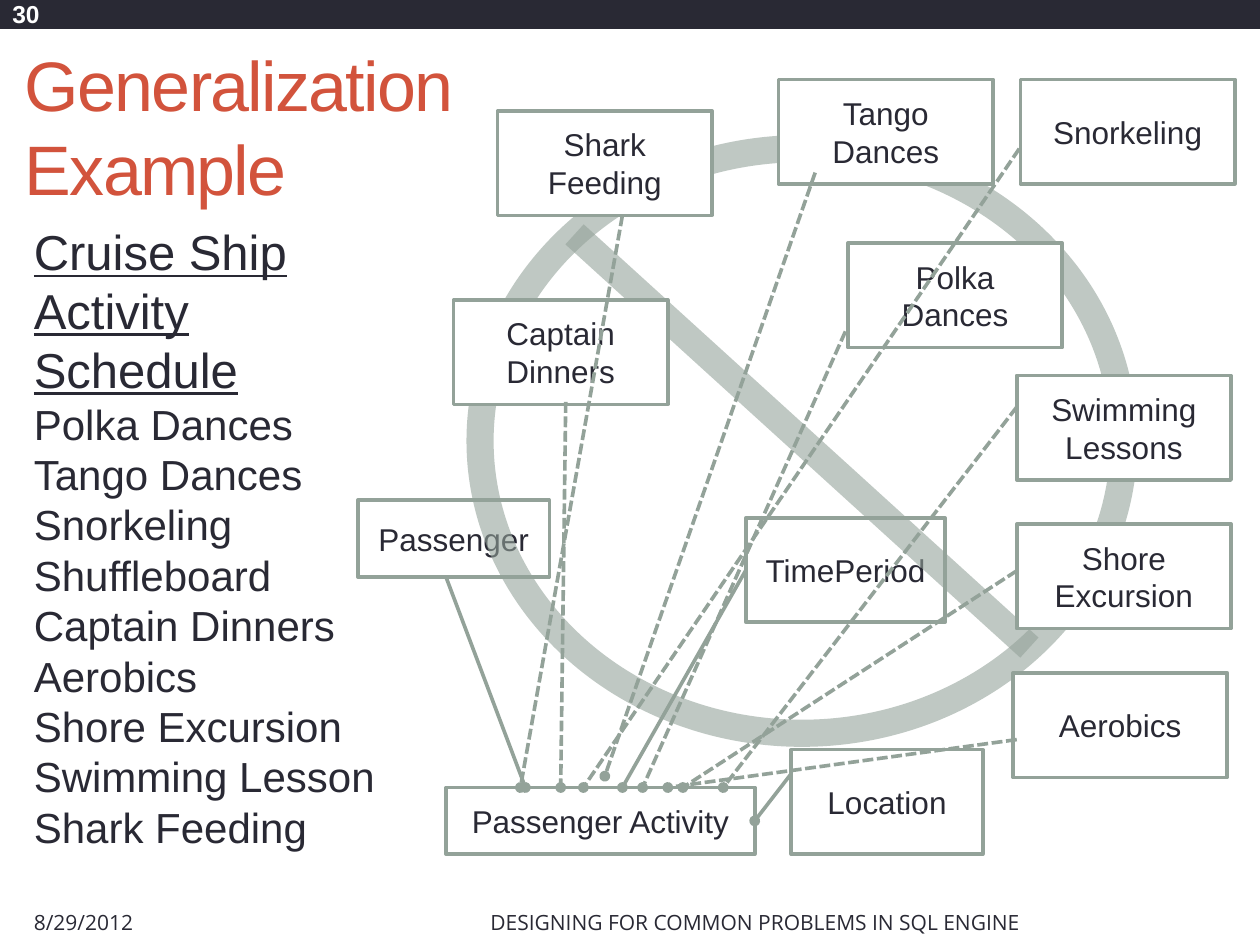
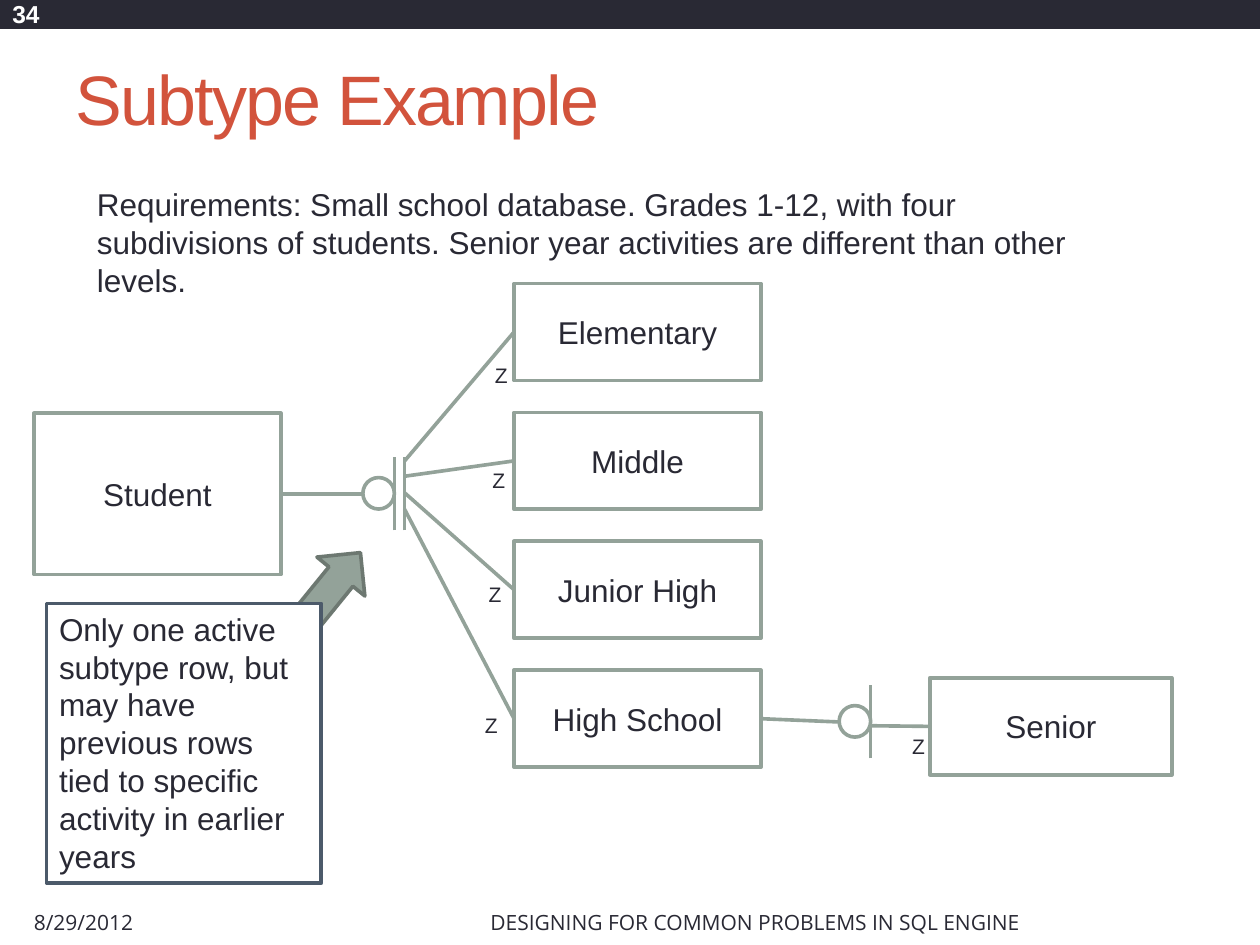
from lxml import etree
from pptx import Presentation
from pptx.dml.color import RGBColor
from pptx.enum.dml import MSO_LINE
from pptx.enum.shapes import MSO_CONNECTOR, MSO_SHAPE
from pptx.enum.text import MSO_ANCHOR, PP_ALIGN
from pptx.oxml.ns import qn
from pptx.util import Inches, Pt

RECTANGLE = MSO_SHAPE.RECTANGLE
ELLIPSE = MSO_SHAPE.OVAL
DOWN_ARROW = MSO_SHAPE.DOWN_ARROW
STRAIGHT = MSO_CONNECTOR.STRAIGHT
DASHED = MSO_LINE.SQUARE_DOT
TOP, MIDDLE = MSO_ANCHOR.TOP, MSO_ANCHOR.MIDDLE
LEFT, CENTER = PP_ALIGN.LEFT, PP_ALIGN.CENTER
LEFT_SIDE, RIGHT_SIDE = 1, 3

SLIDE_WIDTH, SLIDE_HEIGHT = Inches(10), Inches(7.5)
COLUMN, ROW = SLIDE_WIDTH / 100, SLIDE_HEIGHT / 75

INK, WHITE, ACCENT = "292934", "FFFFFF", "D2533C"
SAGE, DARK_SAGE, SLATE = "93A299", "6D7871", "4C5A6A"
BODY_FONT, FOOTER_FONT = "Arial", "Open Sans"
LINE_WIDTH, BAN_WIDTH, BAN_OPACITY = 2.08, 15.5, 58

DATE = "8/29/2012"
FOOTER = "DESIGNING FOR COMMON PROBLEMS IN SQL ENGINE"
SCHEDULE = [
    "Polka Dances", "Tango Dances", "Snorkeling", "Shuffleboard", "Captain Dinners",
    "Aerobics", "Shore Excursion", "Swimming Lesson", "Shark Feeding",
]


def color(value):
    return RGBColor.from_string(value)


def across(columns):
    return round(columns * COLUMN)


def down(rows):
    return round(rows * ROW)


def area(left, top, width, height):
    return across(left), down(top), across(width), down(height)


def write_text(shape, text, size=18, ink=INK, font=BODY_FONT, align=LEFT, anchor=TOP,
               bold=False, underline=False, spacing=None, wrap=True, append=False):
    frame = shape.text_frame
    frame.word_wrap = wrap
    frame.vertical_anchor = anchor
    paragraph = frame.add_paragraph() if append else frame.paragraphs[0]
    paragraph.alignment = align
    run = paragraph.add_run()
    run.text = text
    run.font.size = Pt(size)
    run.font.name = font
    run.font.bold = bold
    run.font.underline = underline
    run.font.color.rgb = color(ink)
    if spacing is not None:
        run.font._element.set("spc", str(spacing))


def add_text(slide, place, text, **text_format):
    box = slide.shapes.add_textbox(*area(*place))
    write_text(box, text, **text_format)
    return box


def set_line(line, ink=SAGE, width=LINE_WIDTH):
    line.color.rgb = color(ink)
    line.width = Pt(width)


def add_figure(slide, kind, place, fill=WHITE, outline=SAGE, width=LINE_WIDTH):
    shape = slide.shapes.add_shape(kind, *area(*place))
    shape.shadow.inherit = False
    if fill:
        shape.fill.solid()
        shape.fill.fore_color.rgb = color(fill)
    else:
        shape.fill.background()
    if outline:
        set_line(shape.line, outline, width)
    else:
        shape.line.fill.background()
    return shape


def add_entity(slide, name, place, wrap=True):
    entity = add_figure(slide, RECTANGLE, place)
    write_text(entity, name, align=CENTER, anchor=MIDDLE, wrap=wrap)
    return entity


def add_line(slide, start, end, width=LINE_WIDTH, dashed=False, dot=False,
             start_join=None, end_join=None):
    connector = slide.shapes.add_connector(
        STRAIGHT, across(start[0]), down(start[1]), across(end[0]), down(end[1]))
    set_line(connector.line, width=width)
    if dashed:
        connector.line.dash_style = DASHED
    if dot:
        etree.SubElement(connector.line._get_or_add_ln(), qn("a:tailEnd"), type="oval")
    etree.SubElement(connector._element.spPr, qn("a:effectLst"))
    if start_join:
        connector.begin_connect(*start_join)
    if end_join:
        connector.end_connect(*end_join)
    return connector


def fade_line(shape, opacity):
    line_color = shape.line._get_or_add_ln().find(f"{qn('a:solidFill')}/{qn('a:srgbClr')}")
    etree.SubElement(line_color, qn("a:alpha"), val=str(opacity * 1000))


def add_base_slide(presentation, number, title, title_place):
    slide = presentation.slides.add_slide(presentation.slide_layouts[6])
    add_figure(slide, RECTANGLE, (0, -0.1, 100, 2.4), fill=INK, outline=None)
    add_text(slide, title_place, title, size=40, ink=ACCENT, anchor=MIDDLE, spacing=-100)
    add_text(slide, (1.7, 71.4, 31.7, 3.6), DATE, size=12, font=FOOTER_FONT, anchor=MIDDLE)
    add_text(slide, (0, -0.2, 11.7, 2.5), number, size=14, ink=WHITE, bold=True, anchor=MIDDLE)
    add_text(slide, (33.3, 71.4, 53.3, 3.6), FOOTER, size=12, font=FOOTER_FONT,
             align=CENTER, anchor=MIDDLE)
    return slide


def add_schedule(slide):
    schedule = add_text(slide, (1.7, 17.1, 30.2, 54.5), "Cruise Ship Activity Schedule",
                        size=28, underline=True)
    for activity in SCHEDULE:
        write_text(schedule, activity, size=24, append=True)


def add_passenger_model(slide):
    places = {
        "Passenger": (28.4, 39.7, 15.2, 6.1),
        "Passenger Activity": (35.4, 62.5, 24.5, 5.3),
        "TimePeriod": (59.2, 41.1, 15.8, 8.3),
        "Location": (62.8, 59.5, 15.2, 8.3),
    }
    entities = {name: add_entity(slide, name, place) for name, place in places.items()}
    add_line(slide, (62.8, 61.4), (59.9, 65.2), dot=True,
             end_join=(entities["Passenger Activity"], RIGHT_SIDE))
    add_line(slide, (59.2, 45.3), (49.4, 62.5), dot=True,
             start_join=(entities["TimePeriod"], LEFT_SIDE))
    add_line(slide, (35.4, 45.8), (41.7, 62.5), dot=True)


def add_ban_sign(slide):
    ring = add_figure(slide, ELLIPSE, (38.1, 11.8, 51.1, 46.4), fill=None, width=BAN_WIDTH)
    slash = add_line(slide, (45.6, 18.6), (81.7, 51.4), width=BAN_WIDTH)
    for part in (ring, slash):
        fade_line(part, BAN_OPACITY)


def add_activities(slide):
    activities = [
        ("Polka Dances", (67.3, 19.3), (67.1, 26.3), (51, 62.5)),
        ("Tango Dances", (61.8, 6.3), (64.7, 13.7), (48, 61.6)),
        ("Snorkeling", (81, 6.3), (80.9, 11.8), (46.3, 62.5)),
        ("Captain Dinners", (36, 23.8), (44.9, 31.9), (44.5, 62.5)),
        ("Aerobics", (80.4, 53.4), (80.7, 58.7), (53, 62.5)),
        ("Shore Excursion", (80.7, 41.6), (80.7, 45.3), (54.2, 62.5)),
        ("Swimming Lessons", (80.7, 29.8), (80.7, 32.3), (57.4, 62.5)),
        ("Shark Feeding", (39.5, 8.8), (49.4, 17.1), (41.3, 62.5)),
    ]
    for name, corner, _, _ in activities:
        add_entity(slide, name, (*corner, 17, 8.3))
    for _, _, start, end in activities:
        add_line(slide, start, end, dashed=True, dot=True)


def add_subtype_mark(slide, left, top, bars):
    for bar in bars:
        add_line(slide, (bar, top + 4.2), (bar, top - 1.6))
    add_figure(slide, ELLIPSE, (left, top, 2.5, 2.5))


def add_subtypes(slide):
    student = add_entity(slide, "Student", (2.7, 32.8, 19.6, 12.8), wrap=False)
    levels = [
        ("Elementary", 36.6, (38.3, 28.3)),
        ("Middle", 37.8, (38.1, 36.6)),
        ("Junior High", 39.1, (37.8, 45.7)),
        ("High School", 40.4, (37.5, 56.1)),
    ]
    for index, (name, branch, mark) in enumerate(levels):
        top = 22.5 + 10.23 * index
        level = add_entity(slide, name, (40.8, top, 19.6, 7.7), wrap=False)
        add_line(slide, (32.1, branch), (40.8, top + 3.85), end_join=(level, LEFT_SIDE))
        add_text(slide, (*mark, 4.2, 3), "Z", size=12)
    add_subtype_mark(slide, 28.8, 37.9, (31.3, 32.1))
    add_line(slide, (22.3, 39.2), (28.8, 39.2), start_join=(student, RIGHT_SIDE))

    senior = add_entity(slide, "Senior", (73.8, 53.8, 19.2, 7.7), wrap=False)
    add_line(slide, (69.1, 57.6), (73.8, 57.6), end_join=(senior, LEFT_SIDE))
    add_text(slide, (71.4, 57.7, 3.2, 3), "Z", size=12)
    add_subtype_mark(slide, 66.6, 56, (69.1,))
    add_line(slide, (60.4, 57), (66.6, 57.3), start_join=(level, RIGHT_SIDE))


def add_callout(slide):
    arrow = add_figure(slide, DOWN_ARROW, (21.2, 42.1, 4.9, 15.7), fill=SAGE, outline=DARK_SAGE)
    arrow.rotation = 219.1
    note = add_figure(slide, RECTANGLE, (3.7, 47.9, 21.8, 22.2), outline=SLATE)
    write_text(note, "Only one active subtype row, but may have previous rows "
                     "tied to specific activity in earlier years")


def build_generalization(presentation):
    slide = add_base_slide(presentation, "30", "Generalization Example", (1, 5.2, 44.6, 9.5))
    add_passenger_model(slide)
    add_schedule(slide)
    add_ban_sign(slide)
    add_activities(slide)


def build_subtype(presentation):
    slide = add_base_slide(presentation, "34", "Subtype Example", (5, 3, 89.2, 9.5))
    add_text(slide, (6.7, 14.2, 79.2, 10.1),
             "Requirements: Small school database. Grades 1-12, with four subdivisions of "
             "students. Senior year activities are different than other levels.")
    add_subtypes(slide)
    add_callout(slide)


def main():
    presentation = Presentation()
    presentation.slide_width = SLIDE_WIDTH
    presentation.slide_height = SLIDE_HEIGHT
    build_generalization(presentation)
    build_subtype(presentation)
    presentation.save("out.pptx")


if __name__ == "__main__":
    main()
